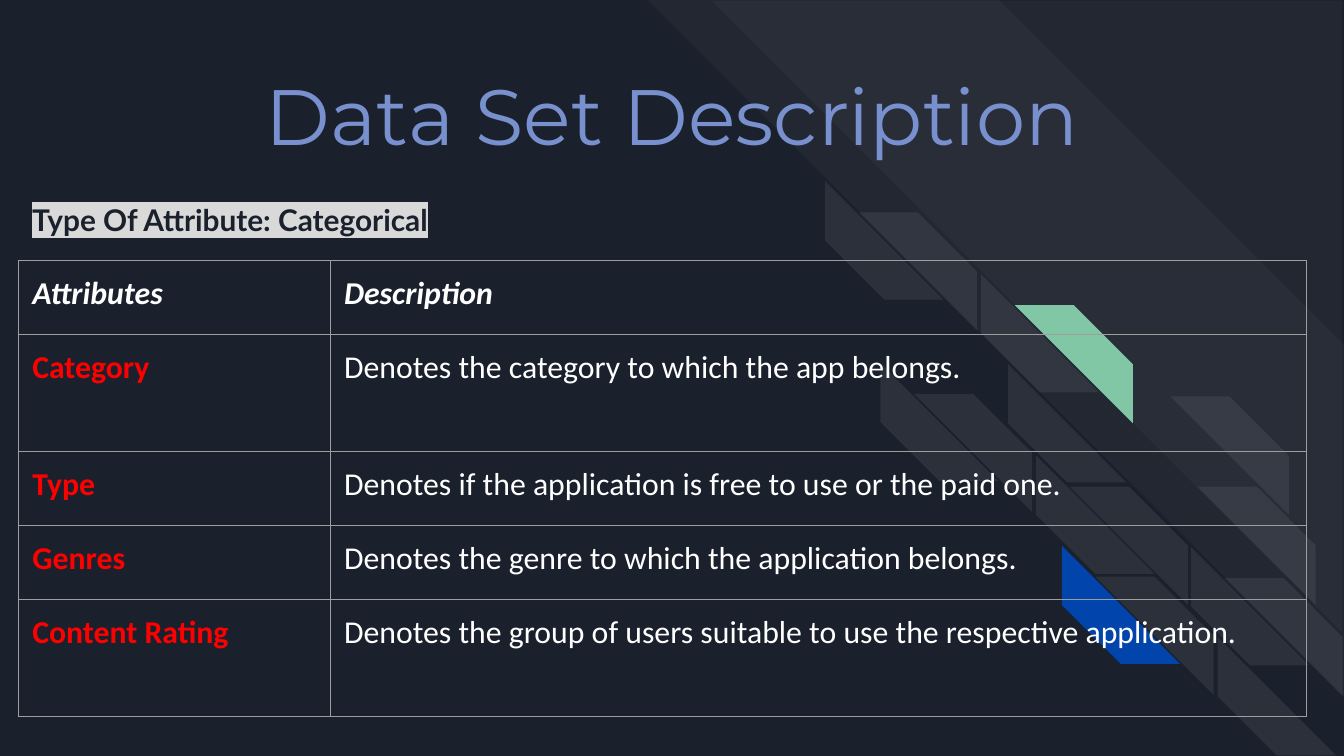
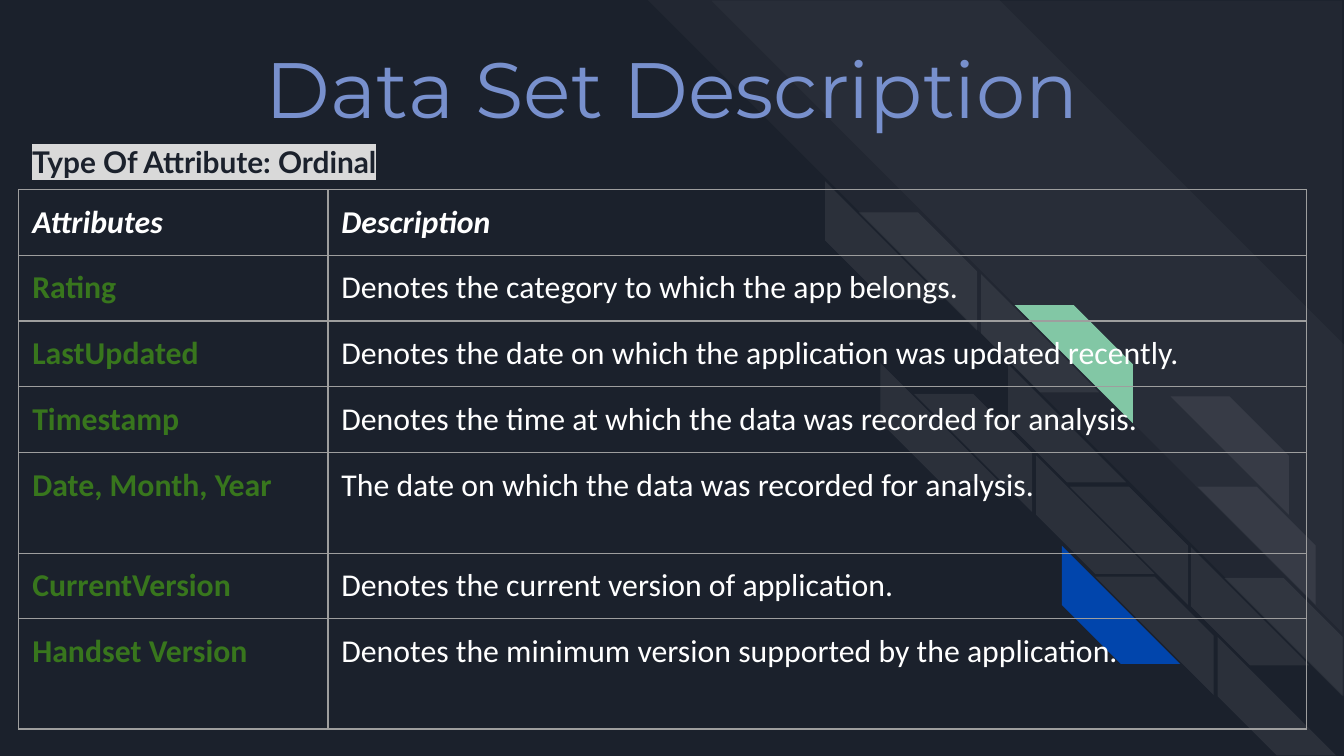
import pptx
import pptx.util
import pptx.dml.color
import pptx.enum.shapes
import pptx.enum.text
import pptx.oxml.ns
import lxml.etree
from dataclasses import dataclass

Inches = pptx.util.Inches
Pt = pptx.util.Pt
RGB = pptx.dml.color.RGBColor.from_string
qn = pptx.oxml.ns.qn


@dataclass(frozen=True)
class Theme:
    background: str = "1B212C"
    title: str = "7890CD"
    text: str = "FFFFFF"
    highlight: str = "D9D9D9"
    border: str = "9E9E9E"
    mint: str = "82C7A5"
    blue: str = "0145AC"
    red: str = "FF0000"
    green: str = "38761D"
    title_font: str = "Montserrat"
    label_font: str = "Lato"
    table_font: str = "Calibri"
    title_size: int = 42
    label_size: int = 16
    table_size: int = 17
    border_width: float = 0.75
    margin: float = 0.1


theme = Theme()


def style_font(font, name, size, color, bold=False, italic=False):
    font.name = name
    font.size = Pt(size)
    font.color.rgb = RGB(color)
    font.bold = bold
    font.italic = italic


def add_stripe(group, left, top, width, height, cut, rotation, color=None, opacity=7):
    """Add a diagonal stripe: mirrored when not rotated, white glass when no colour is given."""
    stripe = group.shapes.add_shape(
        pptx.enum.shapes.MSO_SHAPE.DIAGONAL_STRIPE,
        Inches(left), Inches(top), Inches(width), Inches(height))
    stripe.adjustments[0] = cut
    stripe.rotation = rotation
    if rotation == 0:
        stripe.element.spPr.find(qn("a:xfrm")).set("flipH", "1")
    stripe.shadow.inherit = False
    stripe.line.fill.background()
    stripe.fill.solid()
    stripe.fill.fore_color.rgb = RGB(color or theme.text)
    if color is None:
        white = stripe.element.spPr.find(qn("a:solidFill"))[0]
        lxml.etree.SubElement(white, qn("a:alpha")).set("val", str(opacity * 1000))


# Widescreen 16:9 presentation
presentation = pptx.Presentation()
presentation.slide_width = Inches(10)
presentation.slide_height = Inches(10) * 9 // 16
layout = presentation.slide_layouts[5]
layout.background.fill.solid()
layout.background.fill.fore_color.rgb = RGB(theme.background)

# Content of the two slides; each table row is (attribute, description, height)
pages = [
    dict(title_top=0.4, label="Type Of Attribute: Categorical", label_top=1.4,
         label_height=0.47, table_top=1.94, columns=(2.32, 7.26), accent=theme.red,
         rows=[
             ("Attributes", "Description", 0.55),
             ("Category", "Denotes the category to which the app belongs.", 0.87),
             ("Type", "Denotes if the application is free to use or the paid one.", 0.55),
             ("Genres", "Denotes the genre to which the application belongs.", 0.55),
             ("Content Rating",
              "Denotes the group of users suitable to use the respective application.", 0.87),
         ]),
    dict(title_top=0.2, label="Type Of Attribute: Ordinal", label_top=0.97,
         label_height=0.81, table_top=1.41, columns=(2.3, 7.28), accent=theme.green,
         rows=[
             ("Attributes", "Description", 0.48),
             ("Rating", "Denotes the category to which the app belongs.", 0.48),
             ("LastUpdated",
              "Denotes the date on which the application was updated recently.", 0.48),
             ("Timestamp",
              "Denotes the time at which the data was recorded for analysis.", 0.48),
             ("Date, Month, Year", "The date on which the data was recorded for analysis.", 0.75),
             ("CurrentVersion", "Denotes the current version of application.", 0.48),
             ("Handset Version",
              "Denotes the minimum version supported by the application.", 0.82),
         ]),
]
slides = [presentation.slides.add_slide(layout) for page in pages]

# Shared backdrop: built as one group, then moved behind everything on the layout
backdrop = slides[0].shapes.add_group_shape()
add_stripe(backdrop, 4.82, 0, 5.18, 5.18, 0.495, 90, opacity=3)
add_stripe(backdrop, 5.29, 0.01, 4.7, 4.69, 0, 90, opacity=3)

block = 0.88
chevrons = [  # left, top, colour of the lower half, colour of the upper half
    (6.14, 1.35, None, None),
    (6.55, 2.7, None, None),
    (7.3, 2.04, None, theme.mint),
    (7.71, 3.39, None, None),
    (7.9, 4.06, theme.blue, None),
    (8.86, 4.07, None, None),
]
for left, top, lower, upper in chevrons:
    add_stripe(backdrop, left, top, block, block, 0.5, 270, lower)
    add_stripe(backdrop, left + 0.25, top + 0.23, block, block, 0.5, 0, upper)
for left, top, rotation in [(7.5, 2.71, 270), (9.06, 4.74, 270), (8.71, 2.95, 0), (8.91, 3.62, 0)]:
    add_stripe(backdrop, left, top, block, block, 0.5, rotation)
layout.shapes.element.insert(2, backdrop.element)

for slide, page in zip(slides, pages):
    # Title
    title = slide.shapes.title
    title.left, title.top = Inches(0.79), Inches(page["title_top"])
    title.width, title.height = Inches(8.42), Inches(1)
    title.text_frame.text = "Data Set Description"
    title.text_frame.paragraphs[0].alignment = pptx.enum.text.PP_ALIGN.CENTER
    style_font(title.text_frame.paragraphs[0].font,
               theme.title_font, theme.title_size, theme.title)

    # Highlighted attribute type
    label = slide.shapes.add_textbox(Inches(0.14), Inches(page["label_top"]),
                                     Inches(7.28), Inches(page["label_height"]))
    label.text_frame.text = page["label"]
    style_font(label.text_frame.paragraphs[0].font,
               theme.label_font, theme.label_size, theme.background, bold=True)
    run_properties = label.element.find(".//" + qn("a:r")).get_or_add_rPr()
    highlight = lxml.etree.SubElement(run_properties, qn("a:highlight"))
    lxml.etree.SubElement(highlight, qn("a:srgbClr")).set("val", theme.highlight)

    for shape in (title, label):
        frame = shape.text_frame
        frame.word_wrap = True
        frame.auto_size = pptx.enum.text.MSO_AUTO_SIZE.NONE
        frame.vertical_anchor = pptx.enum.text.MSO_ANCHOR.TOP
        frame.margin_left = frame.margin_right = Inches(theme.margin)
        frame.margin_top = frame.margin_bottom = Inches(theme.margin)

    # Attribute table
    rows = page["rows"]
    table = slide.shapes.add_table(
        len(rows), 2, Inches(0.14), Inches(page["table_top"]),
        Inches(sum(page["columns"])), Inches(sum(row[2] for row in rows))).table
    table.first_row = table.horz_banding = False
    for column, width in zip(table.columns, page["columns"]):
        column.width = Inches(width)
    for row_index, (attribute, description, height) in enumerate(rows):
        table.rows[row_index].height = Inches(height)
        header = row_index == 0
        for column_index, text in enumerate((attribute, description)):
            cell = table.cell(row_index, column_index)
            cell.text = text
            accented = column_index == 0 and not header
            style_font(cell.text_frame.paragraphs[0].font, theme.table_font, theme.table_size,
                       page["accent"] if accented else theme.text,
                       bold=header or accented, italic=header)
            cell.margin_left = cell.margin_right = Inches(theme.margin)
            cell.margin_top = cell.margin_bottom = Inches(theme.margin)
            cell_properties = cell.text_frame._txBody.getparent().get_or_add_tcPr()
            for side in ("a:lnL", "a:lnR", "a:lnT", "a:lnB"):
                border = lxml.etree.SubElement(cell_properties, qn(side))
                border.set("w", str(Pt(theme.border_width)))
                border_fill = lxml.etree.SubElement(border, qn("a:solidFill"))
                lxml.etree.SubElement(border_fill, qn("a:srgbClr")).set("val", theme.border)
            cell.fill.background()

presentation.save("out.pptx")
